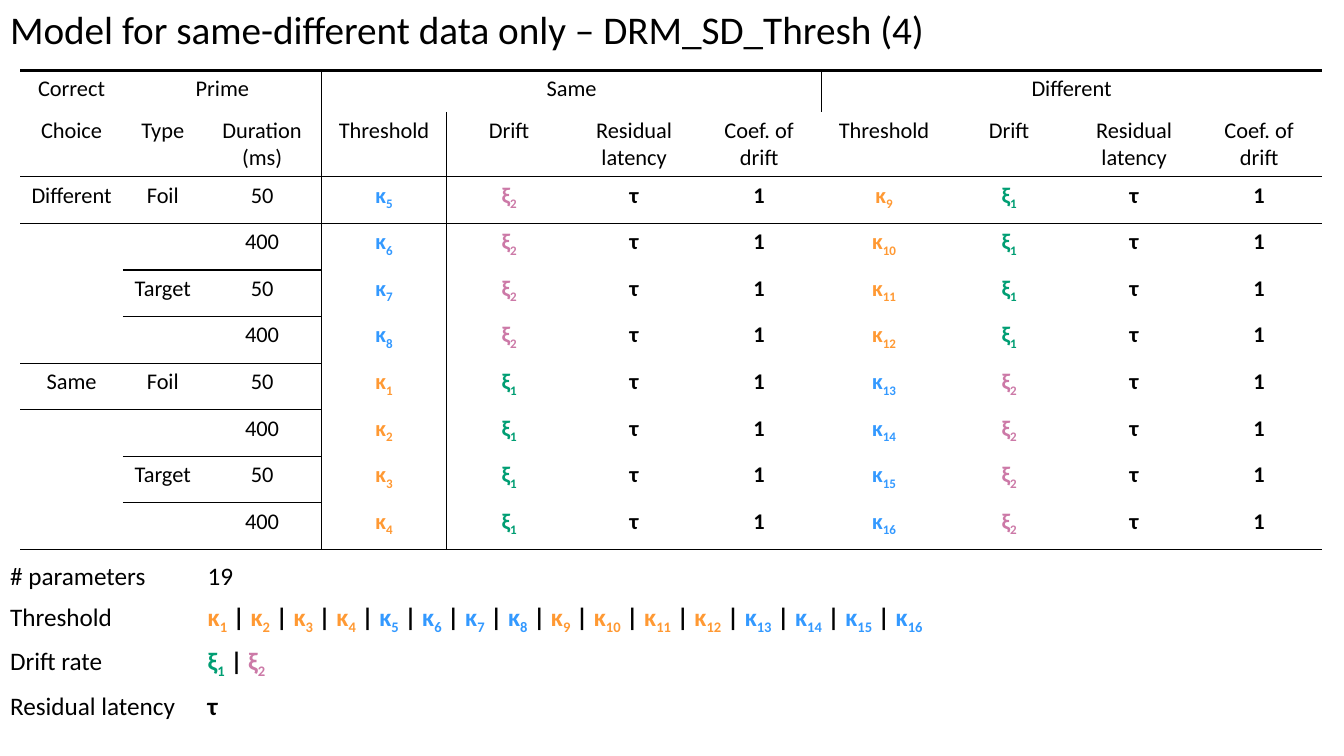
from dataclasses import dataclass

from lxml import etree
from pptx import Presentation
from pptx.dml.color import RGBColor
from pptx.enum import text
from pptx.oxml import ns
from pptx.util import Inches, Pt


@dataclass(frozen=True)
class Theme:
    font: str = "Calibri"
    title_size: float = 28
    model_size: float = 16
    summary_size: float = 18
    black: str = "000000"
    white: str = "FFFFFF"
    blue: str = "3399FF"
    orange: str = "FF9933"
    green: str = "009E73"
    pink: str = "CC79A7"


THEME = Theme()
NO_GRID_STYLE = "{2D5ABB26-0587-4C30-8999-92F81FD0307C}"
SYMBOL_COLOURS = {"ξ1": THEME.green, "ξ2": THEME.pink}
for number in range(1, 17):
    # Thresholds alternate in blocks of four, except that 9 to 12 repeat orange
    is_blue = 5 <= number <= 8 or number >= 13
    SYMBOL_COLOURS[f"κ{number}"] = THEME.blue if is_blue else THEME.orange


def write_cell(cell, content, size, bold=False, align=text.PP_ALIGN.LEFT):
    """Write lines of plain text or of subscripted symbols parted by bars."""
    for index, line in enumerate(content.split("\n")):
        frame = cell.text_frame
        para = frame.add_paragraph() if index else frame.paragraphs[0]
        para.alignment = align
        para.font.name = THEME.font
        para.font.size = Pt(size)
        para.font.bold = bold
        para.font.color.rgb = RGBColor.from_string(THEME.black)
        for place, part in enumerate(line.split(" | ")):
            if place:
                para.add_run().text = " | "
            if part not in SYMBOL_COLOURS:
                para.add_run().text = part
                continue
            for piece, baseline in ((part[0], "0"), (part[1:], "-25000")):
                span = para.add_run()
                span.text = piece
                span.font.color.rgb = RGBColor.from_string(SYMBOL_COLOURS[part])
                span._r.get_or_add_rPr().set("baseline", baseline)


def add_plain_table(page, left, top, widths, heights):
    frame = page.shapes.add_table(
        len(heights), len(widths), Inches(left), Inches(top),
        Inches(sum(widths)), Inches(sum(heights)))
    table = frame.table
    table.first_row = table.horz_banding = False
    table._tbl.tblPr.find(ns.qn("a:tableStyleId")).text = NO_GRID_STYLE
    for column, width in zip(table.columns, widths):
        column.width = Inches(width)
    for row, height in zip(table.rows, heights):
        row.height = Inches(height)
    return table


deck = Presentation()
deck.slide_width = Inches(13.33)
deck.slide_height = Inches(7.5)
page = deck.slides.add_slide(deck.slide_layouts[5])

# Title
title = page.shapes.title
title.left, title.top, title.width, title.height = map(Inches, (0, 0, 9.38, 0.57))
title.text_frame.text = "Model for same-different data only – DRM_SD_Thresh (4)"
title.text_frame.word_wrap = False
title.text_frame.auto_size = text.MSO_AUTO_SIZE.NONE
title.text_frame.vertical_anchor = text.MSO_ANCHOR.TOP
para = title.text_frame.paragraphs[0]
para.alignment = text.PP_ALIGN.LEFT
para.font.name = THEME.font
para.font.size = Pt(THEME.title_size)
para.font.color.rgb = RGBColor.from_string(THEME.black)

# Model table: contents
measures = ["Threshold", "Drift", "Residual\u0020latency", "Coef. of\ndrift"]
model_rows = [
    ["Correct", "Prime", "", "Same", "", "", "", "Different", "", "", ""],
    ["Choice", "Type", "Duration (ms)"] + measures * 2,
]
for trial in range(8):
    different = trial < 4
    same_threshold = trial + 5 if different else trial - 3
    same_drift, different_drift = ("ξ2", "ξ1") if different else ("ξ1", "ξ2")
    choice = {0: "Different", 4: "Same"}.get(trial, "")
    prime = {0: "Foil", 2: "Target"}.get(trial % 4, "")
    duration = "400" if trial % 2 else "50"
    model_rows.append([
        choice, prime, duration,
        f"κ{same_threshold}", same_drift, "τ", "1",
        f"κ{trial + 9}", different_drift, "τ", "1"])

# Model table: the rule above each row as first column, last column, points
rules = {0: (0, 10, 2.25), 2: (0, 10, 1), 4: (1, 2, 1), 6: (0, 2, 1),
         8: (1, 2, 1), 10: (0, 10, 1)}
rules.update({row: (2, 2, 1) for row in (3, 5, 7, 9)})

model = add_plain_table(page, 0.2, 0.7, [1.02, 0.79, 1.18] + [1.24] * 8,
                        [0.41, 0.64] + [3.7 / 8] * 8)
for first, last in ((1, 2), (3, 6), (7, 10)):
    model.cell(0, first).merge(model.cell(0, last))

for row, contents in enumerate(model_rows):
    for col, content in enumerate(contents):
        cell = model.cell(row, col)
        if content:
            write_cell(cell, content, THEME.model_size,
                       bold=row >= 2 and col >= 3, align=text.PP_ALIGN.CENTER)
        borders = {"lnL": 1 if col == 3 else 0, "lnR": 1 if col == 2 else 0}
        for side, edge in (("lnT", row), ("lnB", row + 1)):
            first, last, points = rules.get(edge, (0, 0, 0))
            borders[side] = points if first <= col <= last else 0
        properties = cell._tc.get_or_add_tcPr()
        for side, points in borders.items():
            if points:
                line = etree.SubElement(properties, ns.qn(f"a:{side}"), w=str(Pt(points)))
                fill = etree.SubElement(line, ns.qn("a:solidFill"))
                etree.SubElement(fill, ns.qn("a:srgbClr"), val=THEME.black)
        cell.fill.background()

# Parameter summary
summary_rows = [
    ("# parameters", "19"),
    ("Threshold", " | ".join(f"κ{number}" for number in range(1, 17))),
    ("Drift rate", "ξ1 | ξ2"),
    ("Residual latency", "τ"),
]
summary = add_plain_table(page, 0, 5.52, [1.96, 11.26], [0.4, 0.44, 0.44, 0.4])
for row, contents in enumerate(summary_rows):
    for col, content in enumerate(contents):
        cell = summary.cell(row, col)
        write_cell(cell, content, THEME.summary_size, bold=row > 0 and col == 1)
        cell.fill.solid()
        cell.fill.fore_color.rgb = RGBColor.from_string(THEME.white)

deck.save("out.pptx")
